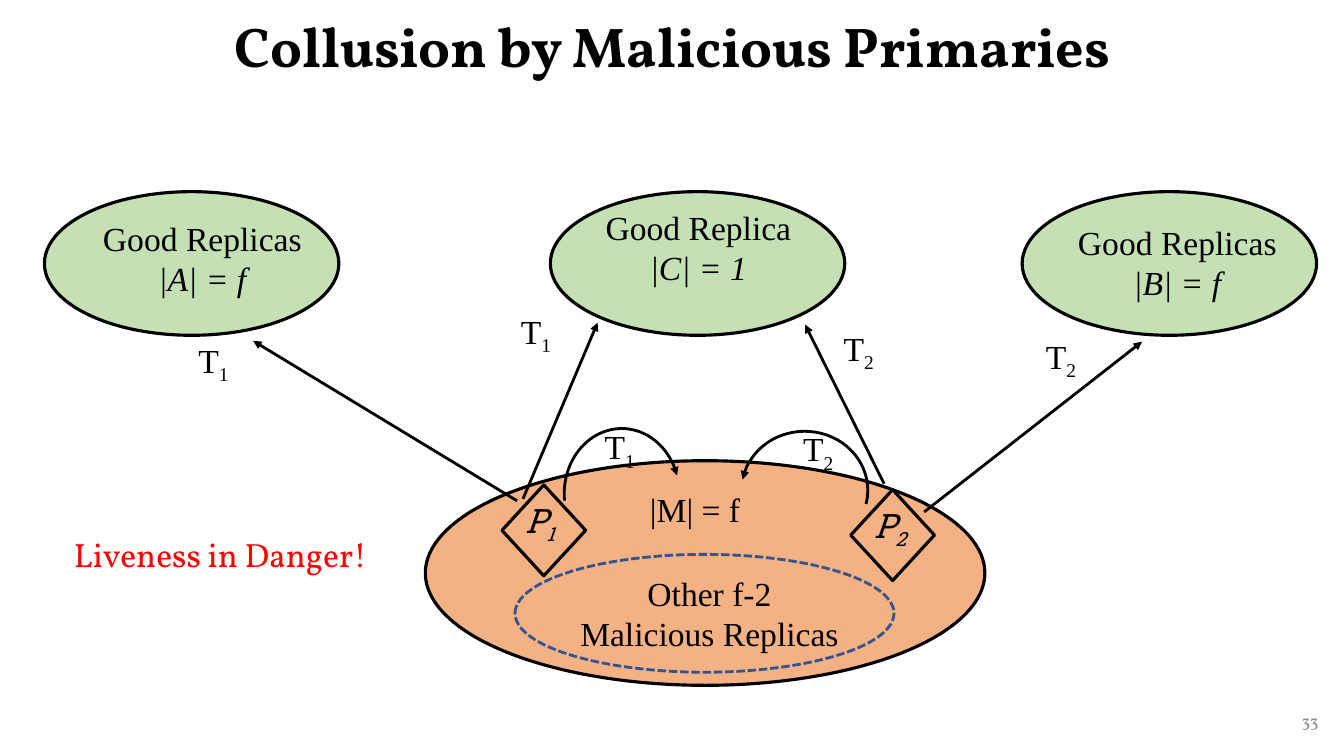
from lxml.etree import SubElement
from pptx import Presentation
from pptx.dml.color import RGBColor
from pptx.enum.dml import MSO_LINE as Dash
from pptx.enum.shapes import MSO_CONNECTOR as Link, MSO_SHAPE as Shape
from pptx.enum.text import MSO_ANCHOR as Anchor, MSO_AUTO_SIZE as Fit, PP_ALIGN as Align
from pptx.oxml.ns import qn
from pptx.util import Cm, Pt

# Content: lengths in cm
TITLE = "Collusion by Malicious Primaries"
WARNING = "Liveness in Danger!"
PAGE = "33"
GREEN, ORANGE, BLUE, BLACK = "C5E0B4", "F4B183", "325491", "000000"
SERIF, SLAB, DISPLAY = "Times New Roman", "Roboto Slab", "Vollkorn"

GOOD_SIZE = (7.42, 3.62)
GOOD_GROUPS = [  # ellipse corner, caption corner, caption, size of group
    ((1.12, 4.83), (1.8, 5.36), "Good Replicas", "|A| = f"),
    ((13.87, 4.83), (14.3, 5.08), "Good Replica", "|C| = 1"),
    ((25.76, 4.83), (26.37, 5.46), "Good Replicas", "|B| = f"),
]
MALICIOUS_BOX = (10.72, 11.61, 14.1, 5.66)
OTHERS_BOX = (12.98, 13.97, 9.55, 2.97)
OTHERS = ["Other f-2", "Malicious Replicas"]
PRIMARIES = [("1", 12.65, 12.22), ("2", 21.44, 12.34)]
MESSAGES = [  # start, end
    ((13.03, 12.62), (6.38, 8.59)),
    ((13.18, 12.57), (15.06, 8.13)),
    ((23.29, 12.9), (28.78, 8.61)),
    ((22.28, 12.19), (20.29, 8.18)),
]
INNER_MESSAGES = [  # box, start and end angle in degrees, arrowhead end
    ((14.22, 10.8, 2.9, 3.28), (173.04, 341.86), "tailEnd"),
    ((18.69, 10.87, 3.18, 2.97), (189.8, 12.74), "headEnd"),
]
TRANSACTIONS = [
    ("1", 4.75, 8.43), ("1", 12.88, 7.7), ("1", 14.99, 10.62),
    ("2", 19.99, 10.67), ("2", 21.01, 8.13), ("2", 26.11, 8.33),
]


def color(hex_code):
    return RGBColor.from_string(hex_code)


def set_all(target, values):
    for name, value in values.items():
        setattr(target, name, value)


def write(frame, lines, font, size=24, ink=BLACK, frame_format=None, **paragraph_format):
    """Each line is a list of (text, font values, is subscript)."""
    set_all(frame, {"word_wrap": True, **(frame_format or {})})
    for number, runs in enumerate(lines):
        paragraph = frame.add_paragraph() if number else frame.paragraphs[0]
        set_all(paragraph, paragraph_format)
        for words, extra, lowered in runs:
            run = paragraph.add_run()
            run.text = words
            set_all(run.font, {"name": font, "size": Pt(size), **extra})
            run.font.color.rgb = color(ink)
            if lowered:
                run.font._element.set("baseline", "-25000")


def text_box(box, lines, font=SERIF, **formats):
    frame = slide.shapes.add_textbox(*map(Cm, box)).text_frame
    write(frame, lines, font, **formats)


def label(letter, index, left, top, font=SERIF, **extra):
    text_box((left, top, 1.34, 1.27), [[(letter, extra, False), (index, extra, True)]], font,
             frame_format={"word_wrap": False, "auto_size": Fit.SHAPE_TO_FIT_TEXT})


def outline(kind, box, fill=None, ink=BLACK, width=2.25):
    shape = slide.shapes.add_shape(kind, *map(Cm, box))
    shape.shadow.inherit = False
    if fill:
        shape.fill.solid()
        shape.fill.fore_color.rgb = color(fill)
    else:
        shape.fill.background()
    shape.line.color.rgb = color(ink)
    shape.line.width = Pt(width)
    return shape


def arrowhead(line, end):
    SubElement(line._get_or_add_ln(), qn("a:" + end), type="triangle")


deck = Presentation()
set_all(deck, {"slide_width": Cm(33.87), "slide_height": Cm(19.05)})
slide = deck.slides.add_slide(deck.slide_layouts[5])

# Title, warning and page number
title = slide.shapes.title
set_all(title, {"left": Cm(2.34), "top": Cm(0), "width": Cm(29.21), "height": Cm(2.51)})
write(title.text_frame, [[(TITLE, {"bold": True}, False)]], DISPLAY, size=40,
      frame_format={"vertical_anchor": Anchor.MIDDLE}, alignment=Align.CENTER, line_spacing=0.9)
text_box((25.86, 17.65, 7.62, 1.02), [[(PAGE, {}, False)]], DISPLAY, size=12, ink="8C8C8C",
         frame_format={"vertical_anchor": Anchor.MIDDLE}, alignment=Align.RIGHT)
text_box((0.74, 12.83, 9.63, 1.63), [[(WARNING, {}, False)]], DISPLAY, ink="FF0000",
         alignment=Align.CENTER, line_spacing=1.5)

# Good replicas
for corner, caption_corner, caption, count in GOOD_GROUPS:
    outline(Shape.OVAL, corner + GOOD_SIZE, GREEN)
    text_box(caption_corner + (6.6, 2.31),
             [[(caption, {}, False)], [(count, {"italic": True}, False)]],
             alignment=Align.CENTER)

# Malicious replicas
outline(Shape.OVAL, MALICIOUS_BOX, ORANGE)
text_box((16.13, 12.19, 3.56, 1.27), [[("|M| = f", {}, False)]])
others = outline(Shape.OVAL, OTHERS_BOX, ink=BLUE, width=2)
others.line.dash_style = Dash.SQUARE_DOT
text_box((13.46, 14.3, 8.84, 2.31), [[(line, {}, False)] for line in OTHERS],
         alignment=Align.CENTER)
for index, left, top in PRIMARIES:
    outline(Shape.DIAMOND, (left, top, 2.11, 2.29))
    label("P", index, left + 0.34, top + 0.25, SLAB, italic=True)

# Messages
for start, end in MESSAGES:
    message = slide.shapes.add_connector(Link.STRAIGHT, *map(Cm, start + end))
    message.line.color.rgb = color(BLACK)
    message.line.width = Pt(2)
    arrowhead(message.line, "tailEnd")
    SubElement(message._element.spPr, qn("a:effectLst"))
for box, angles, end in INNER_MESSAGES:
    arc = outline(Shape.ARC, box, width=2)
    for number, angle in enumerate(angles):
        arc.adjustments[number] = angle * 0.6  # 60000 units a degree, scaled by 100000
    arrowhead(arc.line, end)
for index, left, top in TRANSACTIONS:
    label("T", index, left, top)

deck.save("out.pptx")
